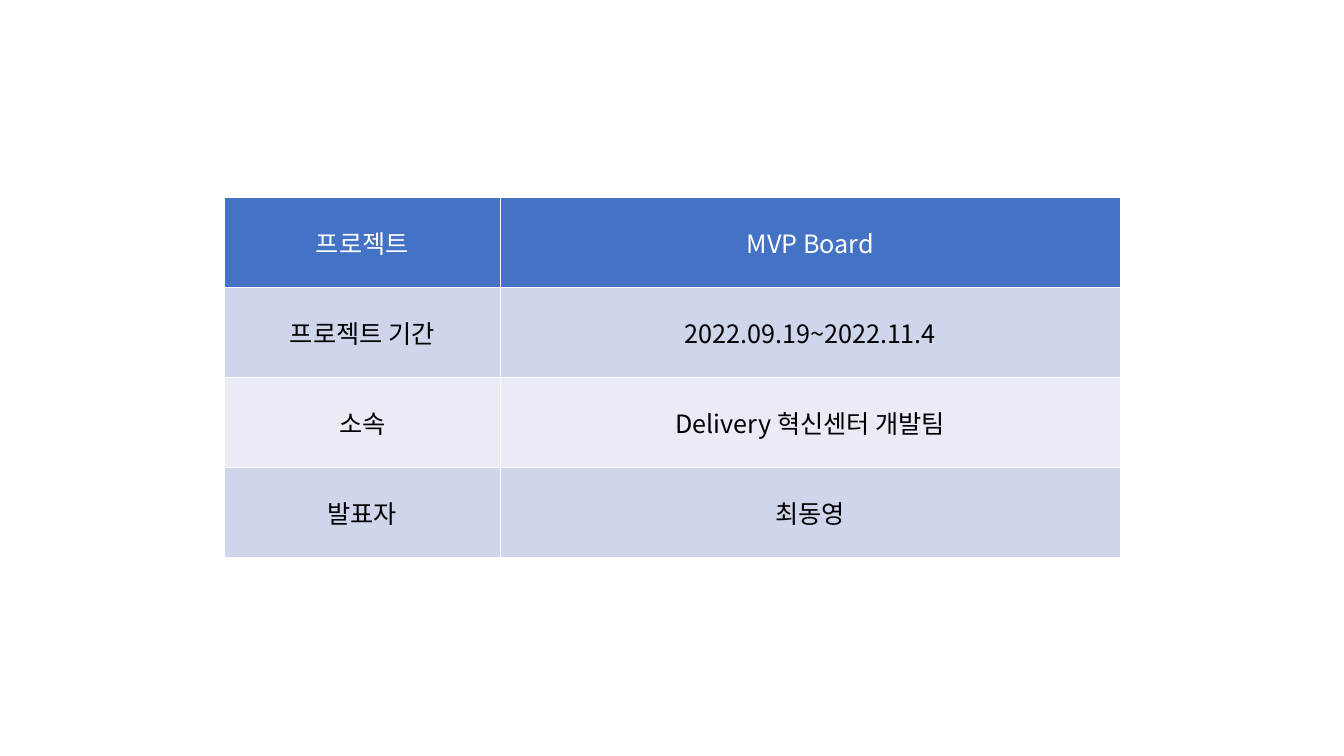
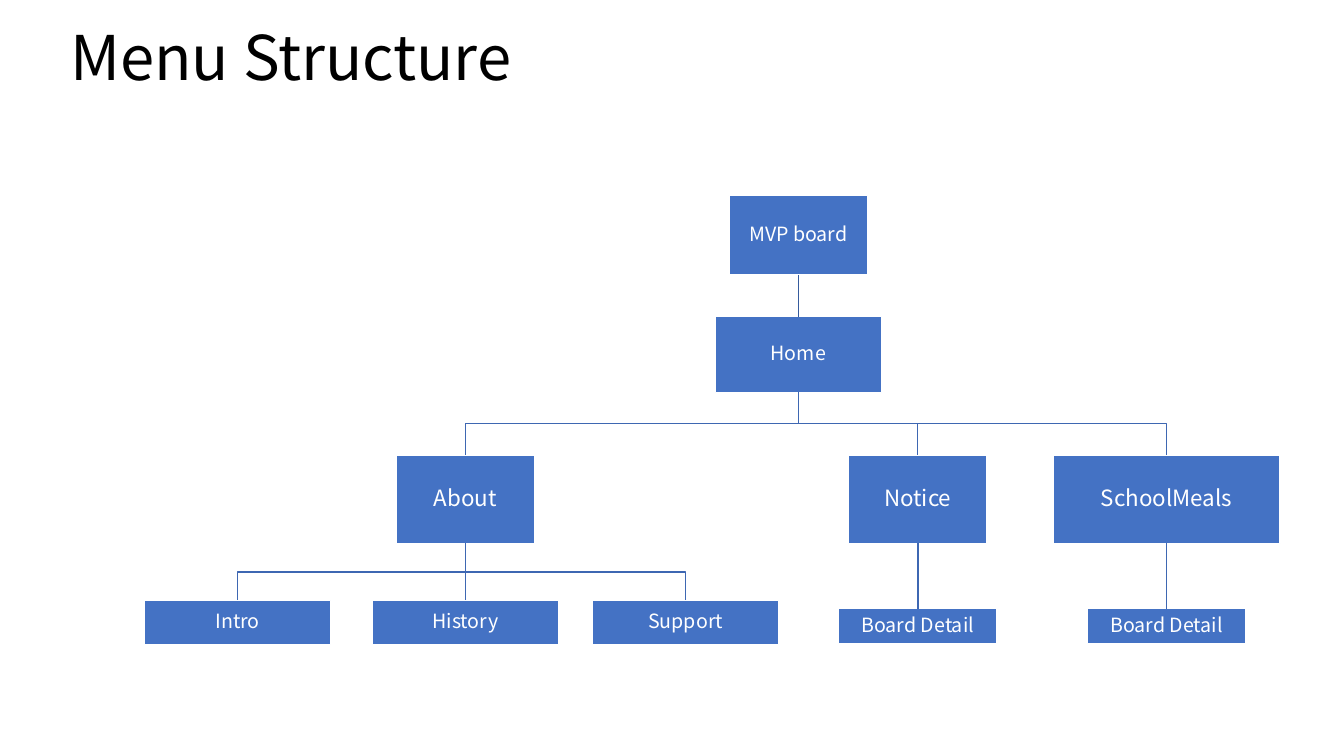
from lxml import etree
from pptx import Presentation
from pptx.dml.color import RGBColor
from pptx.enum.shapes import MSO_CONNECTOR, MSO_SHAPE
from pptx.enum.text import MSO_ANCHOR, PP_ALIGN
from pptx.oxml.ns import qn
from pptx.util import Cm, Pt

# Shared look
FONT = "Noto Sans CJK KR"
BLUE = RGBColor(0x44, 0x72, 0xC4)
BRANCH_BLUE = RGBColor(0x3E, 0x67, 0xB2)
ROOT_BLUE = RGBColor(0x36, 0x5B, 0x9D)
BAND_DARK = RGBColor(0xCF, 0xD5, 0xEA)
BAND_LIGHT = RGBColor(0xE9, 0xEB, 0xF5)
WHITE = RGBColor(0xFF, 0xFF, 0xFF)
BLACK = RGBColor(0x00, 0x00, 0x00)

RECTANGLE = MSO_SHAPE.RECTANGLE
STRAIGHT = MSO_CONNECTOR.STRAIGHT
CENTER, LEFT = PP_ALIGN.CENTER, PP_ALIGN.LEFT
MIDDLE = MSO_ANCHOR.MIDDLE
TOP_SIDE, BOTTOM_SIDE = 0, 2
BLANK_LAYOUT = 6
THIN = Pt(1)

BOX_FRAME = {"word_wrap": True, "vertical_anchor": MIDDLE,
             "margin_left": Cm(0.03), "margin_right": Cm(0.03),
             "margin_top": Cm(0.03), "margin_bottom": Cm(0.03)}

PROJECT_ROWS = [
    ("프로젝트", "MVP Board"),
    ("프로젝트 기간", "2022.09.19~2022.11.4"),
    ("소속", "Delivery 혁신센터 개발팀"),
    ("발표자", "최동영"),
]

# Menu levels: top, height and text size (cm, cm, pt)
LEVELS = {
    "root": (4.93, 2.0, 14),
    "home": (7.98, 1.91, 14),
    "section": (11.47, 2.22, 16),
    "page": (15.13, 1.11, 14),
    "detail": (15.34, 0.87, 14),
}
# Menu entries: key, parent, label, level, centre and width (cm)
MENU = [
    ("board", None, "MVP board", "root", 20.12, 3.5),
    ("home", "board", "Home", "home", 20.12, 4.19),
    ("about", "home", "About", "section", 11.73, 3.5),
    ("intro", "about", "Intro", "page", 5.99, 4.68),
    ("history", "about", "History", "page", 11.73, 4.68),
    ("support", "about", "Support", "page", 17.28, 4.68),
    ("notice", "home", "Notice", "section", 23.13, 3.5),
    ("notice_detail", "notice", "Board Detail", "detail", 23.13, 4.0),
    ("meals", "home", "SchoolMeals", "section", 29.4, 5.72),
    ("meals_detail", "meals", "Board Detail", "detail", 29.4, 4.0),
]


def set_values(target, values):
    for name, value in values.items():
        setattr(target, name, value)


def write_text(frame, text, size, color, align=CENTER, line_spacing=None):
    para = frame.paragraphs[0]
    set_values(para, {"alignment": align, "line_spacing": line_spacing})
    span = para.add_run()
    span.text = text
    set_values(span.font, {"name": FONT, "size": Pt(size), "bold": False})
    span.font.color.rgb = color
    # Korean letters use the East Asian font slot
    etree.SubElement(span.font._element, qn("a:ea"), typeface=FONT)


def set_line(shape, color):
    shape.line.color.rgb = color
    shape.line.width = THIN


def add_title(page, text):
    box = page.shapes.add_textbox(Cm(1.52), Cm(0.56), Cm(12.57), Cm(3.68))
    box.text_frame.word_wrap = True
    write_text(box.text_frame, text, 44, BLACK, LEFT, 0.9)


def set_cell_borders(cell, color):
    properties = cell._tc.get_or_add_tcPr()
    for index, side in enumerate(("a:lnL", "a:lnR", "a:lnT", "a:lnB")):
        border = etree.Element(qn(side), w=str(THIN))
        fill = etree.SubElement(border, qn("a:solidFill"))
        etree.SubElement(fill, qn("a:srgbClr"), val=str(color))
        properties.insert(index, border)


def add_project_table(page, rows):
    widths, row_height = (Cm(6.96), Cm(15.62)), Cm(2.27)
    table = page.shapes.add_table(
        len(rows), len(widths), Cm(5.65), Cm(4.98),
        sum(widths), row_height * len(rows)).table
    table.horz_banding = False
    for column, width in zip(table.columns, widths):
        column.width = width
    for number, labels in enumerate(rows):
        table.rows[number].height = row_height
        band = BAND_DARK if number % 2 else BAND_LIGHT
        fill, color = (band, BLACK) if number else (BLUE, WHITE)
        for cell, label in zip(table.rows[number].cells, labels):
            cell.vertical_anchor = MIDDLE
            cell.fill.solid()
            cell.fill.fore_color.rgb = fill
            set_cell_borders(cell, WHITE)
            write_text(cell.text_frame, label, 18, color)


def add_menu_box(page, label, level, center, width):
    top, height, size = LEVELS[level]
    box = page.shapes.add_shape(
        RECTANGLE, Cm(center - width / 2), Cm(top), Cm(width), Cm(height))
    box.shadow.inherit = False
    box.fill.solid()
    box.fill.fore_color.rgb = BLUE
    set_line(box, WHITE)
    set_values(box.text_frame, BOX_FRAME)
    write_text(box.text_frame, label, size, WHITE, line_spacing=0.9)
    return box


def add_straight_link(page, parent, child, color):
    link = page.shapes.add_connector(STRAIGHT, 0, 0, 0, 0)
    link.begin_connect(parent, BOTTOM_SIDE)
    link.end_connect(child, TOP_SIDE)
    set_line(link, color)
    etree.SubElement(link._element.spPr, qn("a:effectLst"))


def add_elbow_link(page, parent, child, color):
    start_x = parent.left + parent.width // 2
    end_x = child.left + child.width // 2
    start_y = parent.top + parent.height
    middle_y = (start_y + child.top) // 2
    builder = page.shapes.build_freeform(start_x, start_y)
    builder.add_line_segments(
        [(start_x, middle_y), (end_x, middle_y), (end_x, child.top)],
        close=False)
    link = builder.convert_to_shape()
    link.shadow.inherit = False
    link.fill.background()
    set_line(link, color)


def add_menu_tree(page):
    boxes, centers = {}, {}
    for key, parent, label, level, center, width in MENU:
        boxes[key] = add_menu_box(page, label, level, center, width)
        centers[key] = center
        if parent is None:
            continue
        add_link = add_straight_link if center == centers[parent] else add_elbow_link
        color = ROOT_BLUE if level == "home" else BRANCH_BLUE
        add_link(page, boxes[parent], boxes[key], color)


def main():
    deck = Presentation()
    deck.slide_width, deck.slide_height = Cm(33.87), Cm(19.05)
    blank = deck.slide_layouts[BLANK_LAYOUT]

    # Project facts
    add_project_table(deck.slides.add_slide(blank), PROJECT_ROWS)

    # Menu tree
    menu_page = deck.slides.add_slide(blank)
    add_title(menu_page, "Menu Structure")
    add_menu_tree(menu_page)

    deck.save("out.pptx")


if __name__ == "__main__":
    main()
